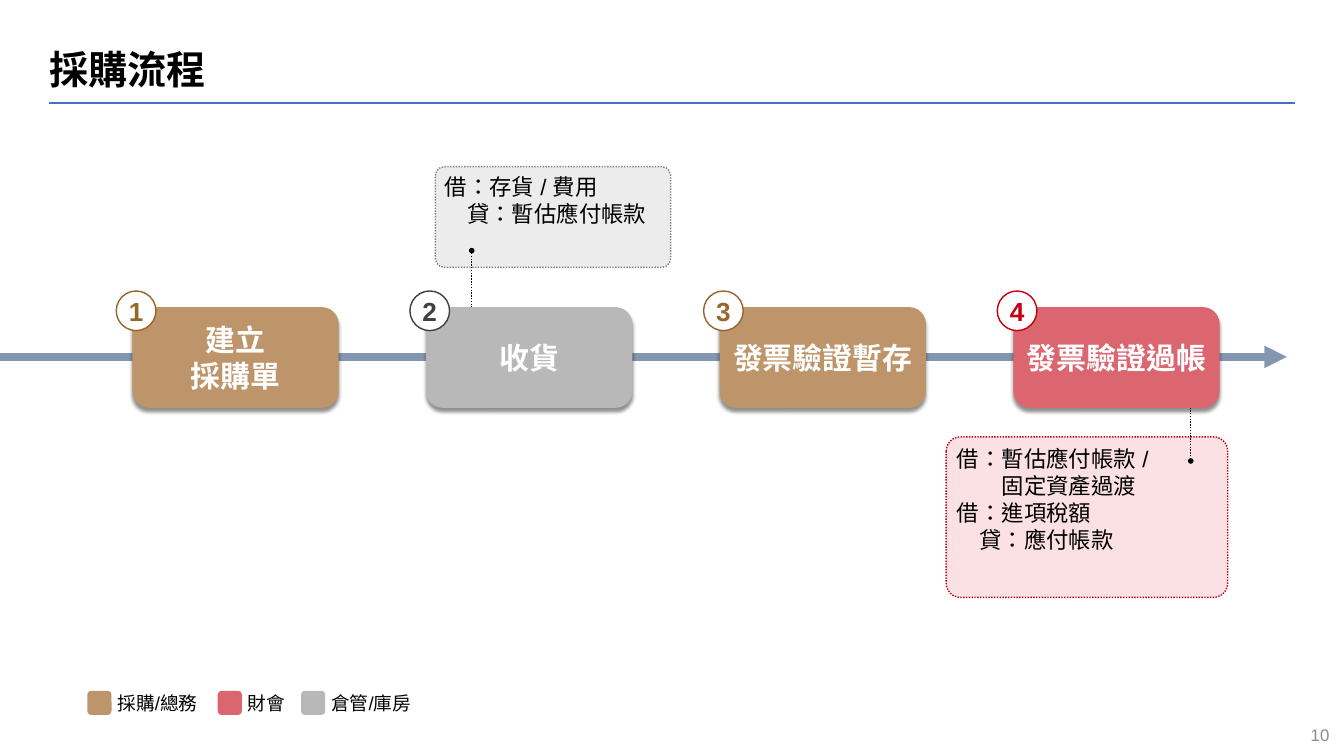
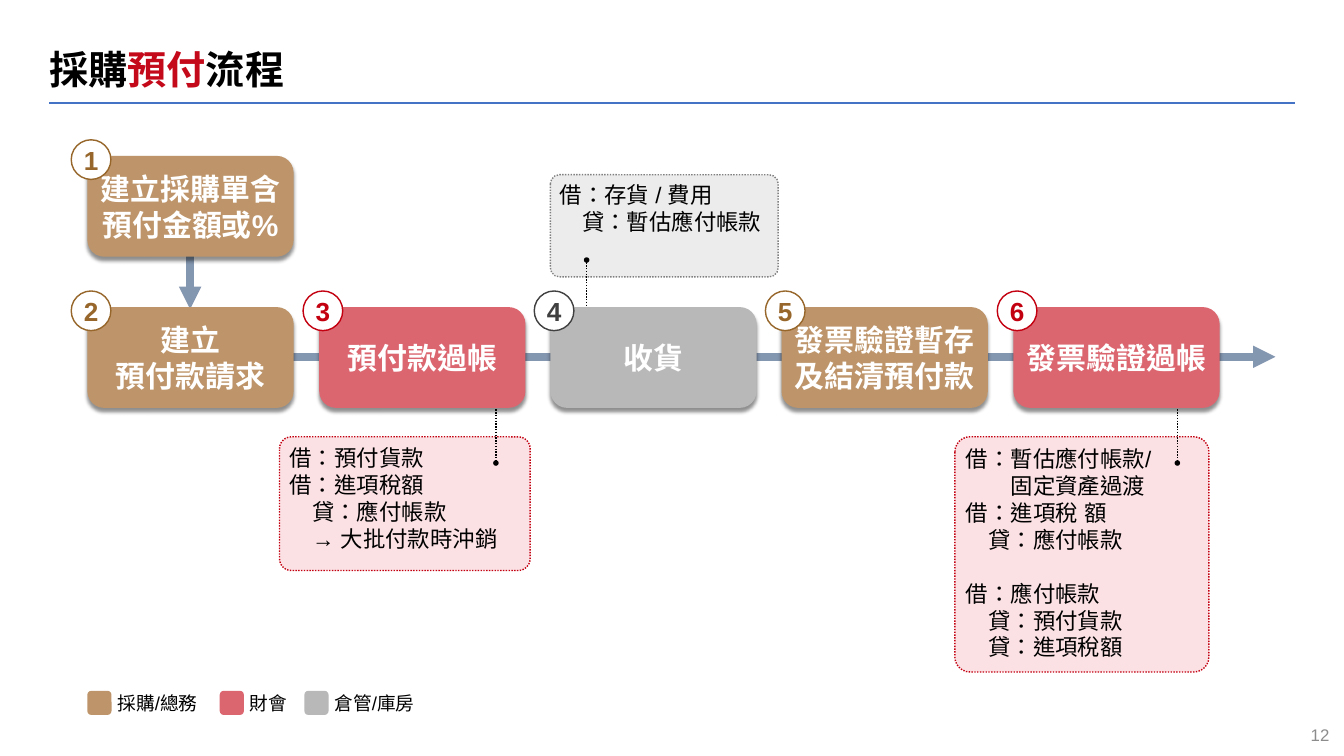
from dataclasses import dataclass
from typing import Any, NamedTuple, Optional

from lxml import etree
from pptx import Presentation
from pptx.dml.color import RGBColor
from pptx.enum import dml, lang, shapes, text
from pptx.oxml import ns
from pptx.util import Inches, Pt

BLACK = RGBColor(0x00, 0x00, 0x00)
WHITE = RGBColor(0xFF, 0xFF, 0xFF)
TITLE_RED = RGBColor(0xC4, 0x0A, 0x1A)
RULE_BLUE = RGBColor(0x44, 0x72, 0xC4)
PAGE_GREY = RGBColor(0x8C, 0x8C, 0x8C)
FLOW_BLUE = RGBColor(0x84, 0x97, 0xB0)
BROWN = RGBColor(0xBE, 0x95, 0x6A)
DARK_BROWN = RGBColor(0x97, 0x66, 0x2B)
RED = RGBColor(0xDB, 0x66, 0x70)
DARK_RED = RGBColor(0xC3, 0x00, 0x10)
PALE_RED = RGBColor(0xFB, 0xE1, 0xE4)
GREY = RGBColor(0xB8, 0xB8, 0xB8)
DARK_GREY = RGBColor(0x40, 0x40, 0x40)
MID_GREY = RGBColor(0x80, 0x80, 0x80)
PALE_GREY = RGBColor(0xEC, 0xEC, 0xEC)

BODY_FONT = "Arial"
TITLE_FONT = "Noto Sans CJK TC"
CHINESE = lang.MSO_LANGUAGE_ID.TAIWAN if hasattr(lang.MSO_LANGUAGE_ID, "TAIWAN") \
    else lang.MSO_LANGUAGE_ID.TRADITIONAL_CHINESE
LEFT, CENTER, RIGHT = text.PP_ALIGN.LEFT, text.PP_ALIGN.CENTER, text.PP_ALIGN.RIGHT
TOP, MIDDLE = text.MSO_ANCHOR.TOP, text.MSO_ANCHOR.MIDDLE
ROUNDED, OVAL = shapes.MSO_SHAPE.ROUNDED_RECTANGLE, shapes.MSO_SHAPE.OVAL

STEP_W, STEP_H, STEP_Y = 3.07, 1.5, 4.57
BADGE, BADGE_OFFSET = 0.59, 0.24
FLOW_Y = 5.31
LEADER_LENGTH = 0.96
CJK_INDENT = Pt(24)


class Dept(NamedTuple):
    name: str
    fill: RGBColor
    accent: RGBColor
    label_w: float


PURCHASING = Dept("採購/總務", BROWN, DARK_BROWN, 1.4)
FINANCE = Dept("財會", RED, DARK_RED, 0.76)
WAREHOUSE = Dept("倉管/庫房", GREY, DARK_GREY, 1.4)
DEPTS = (PURCHASING, FINANCE, WAREHOUSE)


class NoteStyle(NamedTuple):
    fill: RGBColor
    line: RGBColor


GREY_NOTE = NoteStyle(PALE_GREY, MID_GREY)
RED_NOTE = NoteStyle(PALE_RED, DARK_RED)


class Line(NamedTuple):
    text: str
    indent: int = 0
    before: float = 0


class Box(NamedTuple):
    x: float
    y: float
    w: float
    h: float

    def lengths(self) -> list:
        return [Inches(v) for v in self]


@dataclass
class Step:
    lines: list[str]
    dept: Dept
    x: float
    y: float = STEP_Y


@dataclass
class Note:
    box: Box
    style: NoteStyle
    leader_x: float
    leader_y: float
    lines: list[Line]
    corner: float = 0.089


@dataclass
class Flow:
    title: list[tuple[str, RGBColor]]
    page: str
    arrows: list[tuple[float, float, float, float]]
    steps: list[Step]
    notes: list[Note]
    legend_xs: tuple[float, ...]


def set_all(target: Any, values: dict) -> None:
    for name, value in values.items():
        setattr(target, name, value)


def add_run(p, content: str, size: float, color: RGBColor, bold: bool = False,
            font: str = BODY_FONT) -> None:
    r = p.add_run()
    r.text = content
    set_all(r.font, {"name": font, "size": Pt(size), "bold": bold, "language_id": CHINESE})
    r.font.color.rgb = color
    etree.SubElement(r._r.get_or_add_rPr(), ns.qn("a:ea"), typeface=font)


def write(sp, lines: list[Line], size: float, color: RGBColor, bold: bool = False,
          align=LEFT, anchor=TOP, margins: tuple[float, float] = (0.1, 0.05)) -> None:
    tf = sp.text_frame
    mx, my = (Inches(m) for m in margins)
    set_all(tf, {"word_wrap": True, "vertical_anchor": anchor, "margin_left": mx,
                 "margin_right": mx, "margin_top": my, "margin_bottom": my})
    for i, line in enumerate(lines):
        p = tf.add_paragraph() if i else tf.paragraphs[0]
        p.alignment = align
        if line.indent:
            p._p.get_or_add_pPr().set("marL", str(line.indent * CJK_INDENT))
        if line.before:
            p.space_before = Pt(line.before)
        add_run(p, line.text, size, color, bold)


def add_panel(slide, kind, box: Box, fill: RGBColor, line: Optional[RGBColor] = None,
              dotted: bool = False):
    sp = slide.shapes.add_shape(kind, *box.lengths())
    sp.shadow.inherit = False
    sp.fill.solid()
    sp.fill.fore_color.rgb = fill
    if line is None:
        sp.line.fill.background()
    else:
        sp.line.color.rgb = line
        sp.line.width = Pt(1.5)
        if dotted:
            sp.line.dash_style = dml.MSO_LINE.ROUND_DOT
    return sp


def add_line(slide, ends: tuple[float, float, float, float], color: RGBColor, width: float,
             dotted: bool = False, head: str = "none", tail: str = "none") -> None:
    c = slide.shapes.add_connector(shapes.MSO_CONNECTOR.STRAIGHT, *(Inches(v) for v in ends))
    c.line.color.rgb = color
    c.line.width = Pt(width)
    if dotted:
        c.line.dash_style = dml.MSO_LINE.ROUND_DOT
    ln = c.line._get_or_add_ln()
    for tag, kind in (("a:headEnd", head), ("a:tailEnd", tail)):
        etree.SubElement(ln, ns.qn(tag), type=kind)
    etree.SubElement(c._element.spPr, ns.qn("a:effectLst"))


def drop_shadow(sp) -> None:
    effects = sp._element.spPr.find(ns.qn("a:effectLst"))
    shadow = etree.SubElement(effects, ns.qn("a:outerShdw"), blurRad=str(Pt(4)),
                              dist=str(Pt(4)), dir="5400000", algn="t", rotWithShape="0")
    color = etree.SubElement(shadow, ns.qn("a:srgbClr"), val=str(BLACK))
    etree.SubElement(color, ns.qn("a:alpha"), val="43000")


def add_frame(slide, flow: Flow) -> None:
    """Title, rule under it and page number."""
    add_line(slide, (0.73, 1.53, 19.27, 1.53), RULE_BLUE, 2.25)
    page = slide.shapes.add_textbox(*Box(18.67, 10.73, 1.21, 0.4).lengths())
    write(page, [Line(flow.page)], 18, PAGE_GREY, align=RIGHT)
    title = slide.shapes.title
    left, top, width, height = Box(0.73, 0.78, 18.55, 0.75).lengths()
    set_all(title, {"left": left, "top": top, "width": width, "height": height})
    tf = title.text_frame
    set_all(tf, {"margin_left": 0, "margin_right": 0, "margin_top": 0, "margin_bottom": 0,
                 "vertical_anchor": TOP, "auto_size": text.MSO_AUTO_SIZE.NONE})
    p = tf.paragraphs[0]
    set_all(p, {"alignment": LEFT, "line_spacing": 0.85})
    for content, color in flow.title:
        add_run(p, content, 42, color, True, TITLE_FONT)


def add_note(slide, note: Note) -> None:
    sp = add_panel(slide, ROUNDED, note.box, note.style.fill, note.style.line, dotted=True)
    sp.adjustments[0] = note.corner
    write(sp, note.lines, 24, BLACK, margins=(0.1, 0.06))
    x, y = note.leader_x, note.leader_y
    add_line(slide, (x, y, x, y + LEADER_LENGTH), BLACK, 1.5, True, "oval", "oval")


def add_step(slide, step: Step, number: int) -> None:
    sp = add_panel(slide, ROUNDED, Box(step.x, step.y, STEP_W, STEP_H), step.dept.fill)
    drop_shadow(sp)
    write(sp, [Line(s) for s in step.lines], 32, WHITE, True, CENTER, MIDDLE, (0.02, 0.05))
    accent = step.dept.accent
    badge = add_panel(slide, OVAL, Box(step.x - BADGE_OFFSET, step.y - BADGE_OFFSET,
                                       BADGE, BADGE), WHITE, accent)
    write(badge, [Line(str(number))], 28, accent, True, CENTER, MIDDLE, (0.08, 0.05))


def add_legend(slide, xs: tuple[float, ...]) -> None:
    for x, dept in zip(xs, DEPTS):
        add_panel(slide, ROUNDED, Box(x, 10.28, 0.36, 0.36), dept.fill)
        label = slide.shapes.add_textbox(*Box(x + 0.35, 10.24, dept.label_w, 0.44).lengths())
        write(label, [Line(dept.name)], 20, BLACK)


def add_flow(prs, flow: Flow) -> None:
    slide = prs.slides.add_slide(prs.slide_layouts[5])
    add_frame(slide, flow)
    for ends in flow.arrows:
        add_line(slide, ends, FLOW_BLUE, 8, tail="triangle")
    for note in flow.notes:
        add_note(slide, note)
    for number, step in enumerate(flow.steps, 1):
        add_step(slide, step, number)
    add_legend(slide, flow.legend_xs)


def row_x(index: int, count: int, first: float, last: float = 15.08) -> float:
    """Left edge of a step in a row of equally spaced steps."""
    return round(first + index * (last - first) / (count - 1), 2)


def row(first: float, items: list[tuple[list[str], Dept]]) -> list[Step]:
    return [Step(lines, dept, row_x(i, len(items), first))
            for i, (lines, dept) in enumerate(items)]


RECEIPT = [Line("借：存貨 / 費用"), Line("貸：暫估應付帳款", 1)]
PAYABLE = Line("貸：應付帳款", 1)
INPUT_TAX = Line("借：進項稅額")
ASSET_TRANSIT = Line("固定資產過渡", 2)

PURCHASE = Flow(
    title=[("採購流程", BLACK)],
    page="10",
    arrows=[(0, FLOW_Y, 19.15, FLOW_Y)],
    steps=row(1.97, [
        (["建立", "採購單"], PURCHASING),
        (["收貨"], WAREHOUSE),
        (["發票驗證暫存"], PURCHASING),
        (["發票驗證過帳"], FINANCE),
    ]),
    notes=[
        Note(Box(6.48, 2.48, 3.5, 1.5), GREY_NOTE, 7.02, 3.73, RECEIPT),
        Note(Box(14.08, 6.5, 4.19, 2.39), RED_NOTE, 17.72, 5.9,
             [Line("借：暫估應付帳款 /"), ASSET_TRANSIT, INPUT_TAX, PAYABLE]),
    ],
    legend_xs=(1.3, 3.24, 4.48),
)

PREPAYMENT = Flow(
    title=[("採購", BLACK), ("預付", TITLE_RED), ("流程", BLACK)],
    page="12",
    arrows=[(1.35, FLOW_Y, 18.98, FLOW_Y), (2.83, 3.73, 2.83, 4.6)],
    steps=[Step(["建立採購單含", "預付金額或%"], PURCHASING, 1.3, 2.32)] + row(1.3, [
        (["建立", "預付款請求"], PURCHASING),
        (["預付款過帳"], FINANCE),
        (["收貨"], WAREHOUSE),
        (["發票驗證暫存及結清預付款"], PURCHASING),
        (["發票驗證過帳"], FINANCE),
    ]),
    notes=[
        Note(Box(4.16, 6.5, 3.73, 1.99), RED_NOTE, 7.38, 5.93,
             [Line("借：預付貨款"), INPUT_TAX, PAYABLE, Line("→ 大批付款時沖銷", 1)]),
        Note(Box(8.19, 2.6, 3.39, 1.52), GREY_NOTE, 8.73, 3.87, RECEIPT),
        Note(Box(14.21, 6.5, 3.78, 3.5), RED_NOTE, 17.52, 5.93,
             [Line("借：暫估應付帳款/"), ASSET_TRANSIT, Line("借：進項稅 額"), PAYABLE,
              Line("借：應付帳款", before=29), Line("貸：預付貨款", 1),
              Line("貸：進項稅額", 1)], corner=0.064),
    ],
    legend_xs=(1.3, 3.27, 4.53),
)


def main() -> None:
    prs = Presentation()
    set_all(prs, {"slide_width": Inches(20), "slide_height": Inches(11.25)})
    for flow in (PURCHASE, PREPAYMENT):
        add_flow(prs, flow)
    prs.save("out.pptx")


if __name__ == "__main__":
    main()
